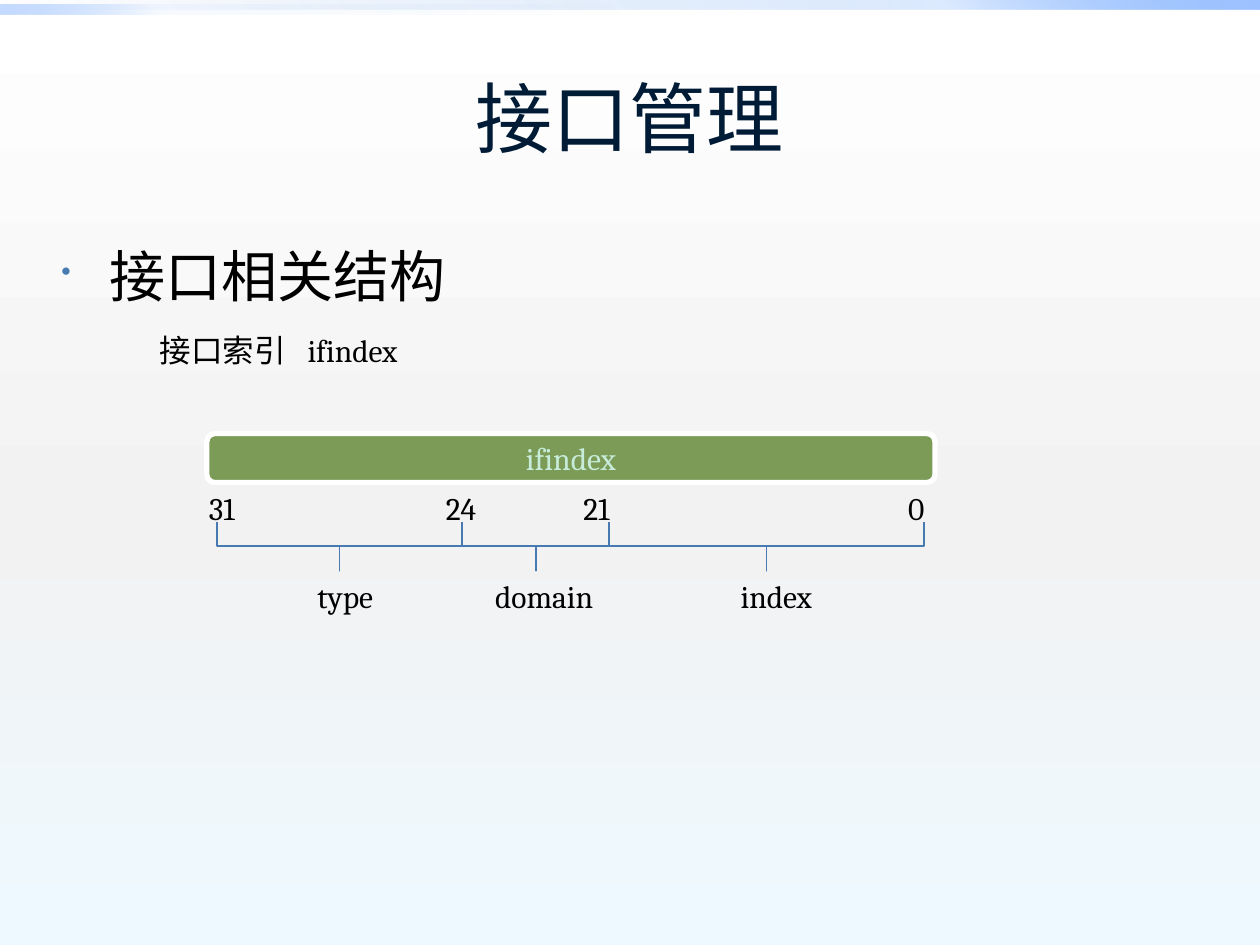
from dataclasses import dataclass
from typing import Any, Optional

import lxml.etree
import pptx
import pptx.dml.color
import pptx.enum.shapes
import pptx.enum.text
import pptx.oxml.ns
import pptx.util

Cm = pptx.util.Cm
Pt = pptx.util.Pt
qn = pptx.oxml.ns.qn
Align = pptx.enum.text.PP_ALIGN
Anchor = pptx.enum.text.MSO_ANCHOR
AutoSize = pptx.enum.text.MSO_AUTO_SIZE
Preset = pptx.enum.shapes.MSO_SHAPE


@dataclass(frozen=True)
class Theme:
    title: str = "001B36"
    text: str = "000000"
    accent: str = "477AB1"
    register: str = "7B9B57"
    register_text: str = "C8ECDA"
    register_line: str = "FFFFFF"
    title_font: str = "Calibri"
    body_font: str = "Cambria"
    title_size: int = 44
    heading_size: int = 32
    label_size: int = 18


@dataclass(frozen=True)
class Stop:
    position: int
    color: str
    opacity: int = 100


@dataclass(frozen=True)
class Strip:
    box: tuple[float, float, float, float]
    stops: tuple[Stop, ...]
    angle: int


@dataclass(frozen=True)
class Caption:
    text: str
    box: tuple[float, float, float, float]
    wrap: bool = True
    size: int = Theme.label_size
    font: str = Theme.body_font
    color: str = Theme.text
    align: Align = Align.LEFT
    anchor: Anchor = Anchor.TOP
    auto_size: Optional[AutoSize] = AutoSize.SHAPE_TO_FIT_TEXT


@dataclass(frozen=True)
class BitField:
    name: str
    start: float
    end: float
    label_left: float
    label_width: float


THEME = Theme()
BACKGROUND = (Stop(0, "FFFFFF"), Stop(55, "F2F2F2"), Stop(100, "EEF9FF"))
STRIPS = (
    Strip((0, 0, 25.4, 0.2),
          (Stop(0, "0058B7", 0), Stop(75, "4F95FF", 20), Stop(100, "9EC2FF")), 315),
    Strip((0, 0.1, 12.7, 0.2),
          (Stop(0, "0058B7", 0), Stop(75, "4F95FF", 5), Stop(100, "9EC2FF", 60)), 135),
)
TITLE = Caption("接口管理", (1.27, 0.76, 22.86, 3.18), size=THEME.title_size,
                font=THEME.title_font, color=THEME.title, align=Align.CENTER,
                anchor=Anchor.MIDDLE, auto_size=None)
HEADING = Caption("接口相关结构", (0.99, 4.75, 22.86, 13.49),
                  size=THEME.heading_size, auto_size=None)
SUBHEADING = Caption("接口索引\tifindex", (2.97, 6.55, 5.38, 1.02), wrap=False)
REGISTER = Caption("ifindex", (4.17, 8.74, 14.68, 0.99), color=THEME.register_text,
                   align=Align.CENTER, anchor=Anchor.MIDDLE, auto_size=None)
BIT_NUMBERS = (("31", 3.96), ("24", 8.74), ("21", 11.51), ("0", 18.06))
FIELDS = (
    BitField("type", 4.37, 9.32, 6.15, 1.73),
    BitField("domain", 9.32, 12.28, 9.73, 2.59),
    BitField("index", 12.28, 18.62, 14.68, 2.03),
)
BIT_TOP, FIELD_TOP, LABEL_HEIGHT = 9.73, 11.51, 1.02
BRACE_MIDDLE, BRACE_DEPTH = 11.01, 0.99


def apply_format(target: Any, values: dict[str, Any]) -> None:
    for name, value in values.items():
        setattr(target, name, value)


def rgb(color: str) -> pptx.dml.color.RGBColor:
    return pptx.dml.color.RGBColor.from_string(color)


def add_node(parent: Any, tag: str, **attributes: Any) -> Any:
    return lxml.etree.SubElement(
        parent, qn(tag), {key: str(value) for key, value in attributes.items()})


def set_gradient(owner: Any, fill: Any, stops: tuple[Stop, ...], angle: int) -> None:
    fill.solid()
    fill.fore_color.rgb = rgb(stops[0].color)
    solid = next(owner.iter(qn("a:solidFill")))
    gradient = add_node(solid.getparent(), "a:gradFill", rotWithShape=1)
    stop_list = add_node(gradient, "a:gsLst")
    for stop in stops:
        entry = add_node(stop_list, "a:gs", pos=stop.position * 1000)
        color = add_node(entry, "a:srgbClr", val=stop.color)
        if stop.opacity < 100:
            add_node(color, "a:alpha", val=stop.opacity * 1000)
    add_node(gradient, "a:lin", ang=angle * 60000, scaled=0)
    solid.getparent().replace(solid, gradient)


def add_preset(slide: Any, preset: Preset, box: tuple[float, ...]) -> Any:
    shape = slide.shapes.add_shape(preset, *map(Cm, box))
    shape.shadow.inherit = False
    return shape


def write_caption(shape: Any, caption: Caption) -> Any:
    frame = shape.text_frame
    apply_format(frame, {"word_wrap": caption.wrap, "auto_size": caption.auto_size,
                         "vertical_anchor": caption.anchor})
    paragraph = frame.paragraphs[0]
    paragraph.alignment = caption.align
    run = paragraph.add_run()
    run.text = caption.text
    apply_format(run.font, {"name": caption.font, "size": Pt(caption.size)})
    run.font.color.rgb = rgb(caption.color)
    return paragraph


def add_caption(slide: Any, caption: Caption) -> Any:
    return write_caption(slide.shapes.add_textbox(*map(Cm, caption.box)), caption)


def add_strip(slide: Any, strip: Strip) -> None:
    shape = add_preset(slide, Preset.RECTANGLE, strip.box)
    shape.line.fill.background()
    set_gradient(shape.element, shape.fill, strip.stops, strip.angle)


def add_heading(slide: Any, caption: Caption) -> None:
    paragraph = add_caption(slide, caption)
    paragraph.space_before = Pt(caption.size * 0.2)
    properties = paragraph._p.get_or_add_pPr()
    apply_indent = {"marL": Cm(0.97), "indent": -Cm(0.97)}
    for name, value in apply_indent.items():
        properties.set(name, str(int(value)))
    add_node(add_node(properties, "a:buClr"), "a:srgbClr", val=THEME.accent)
    add_node(properties, "a:buSzPct", val=50000)
    add_node(properties, "a:buChar", char="•")


def add_subheading(slide: Any, caption: Caption) -> None:
    properties = add_caption(slide, caption)._p.get_or_add_pPr()
    add_node(add_node(properties, "a:tabLst"), "a:tab", pos=int(Cm(2.98)), algn="l")


def add_register(slide: Any, caption: Caption) -> None:
    register = add_preset(slide, Preset.ROUNDED_RECTANGLE, caption.box)
    register.fill.solid()
    register.fill.fore_color.rgb = rgb(THEME.register)
    register.line.color.rgb = rgb(THEME.register_line)
    register.line.width = Pt(3)
    write_caption(register, caption)


def add_field(slide: Any, field: BitField) -> None:
    span = field.end - field.start
    center = (field.start + field.end) / 2
    brace = add_preset(slide, Preset.RIGHT_BRACE, (
        center - BRACE_DEPTH / 2, BRACE_MIDDLE - span / 2, BRACE_DEPTH, span))
    brace.rotation = 90
    brace.adjustments[0], brace.adjustments[1] = 0, 0.5
    brace.fill.background()
    brace.line.color.rgb = rgb(THEME.accent)
    brace.line.width = Pt(1)
    add_caption(slide, Caption(field.name, (
        field.label_left, FIELD_TOP, field.label_width, LABEL_HEIGHT), wrap=False))


def main() -> None:
    deck = pptx.Presentation()
    apply_format(deck, {"slide_width": Cm(25.4), "slide_height": Cm(19.05)})
    slide = deck.slides.add_slide(deck.slide_layouts[6])
    set_gradient(slide.element, slide.background.fill, BACKGROUND, 90)
    for strip in STRIPS:
        add_strip(slide, strip)
    add_heading(slide, HEADING)
    add_caption(slide, TITLE)
    add_subheading(slide, SUBHEADING)
    add_register(slide, REGISTER)
    for number, left in BIT_NUMBERS:
        add_caption(slide, Caption(number, (left, BIT_TOP, 1.22, LABEL_HEIGHT)))
    for field in FIELDS:
        add_field(slide, field)
    deck.save("out.pptx")


if __name__ == "__main__":
    main()
